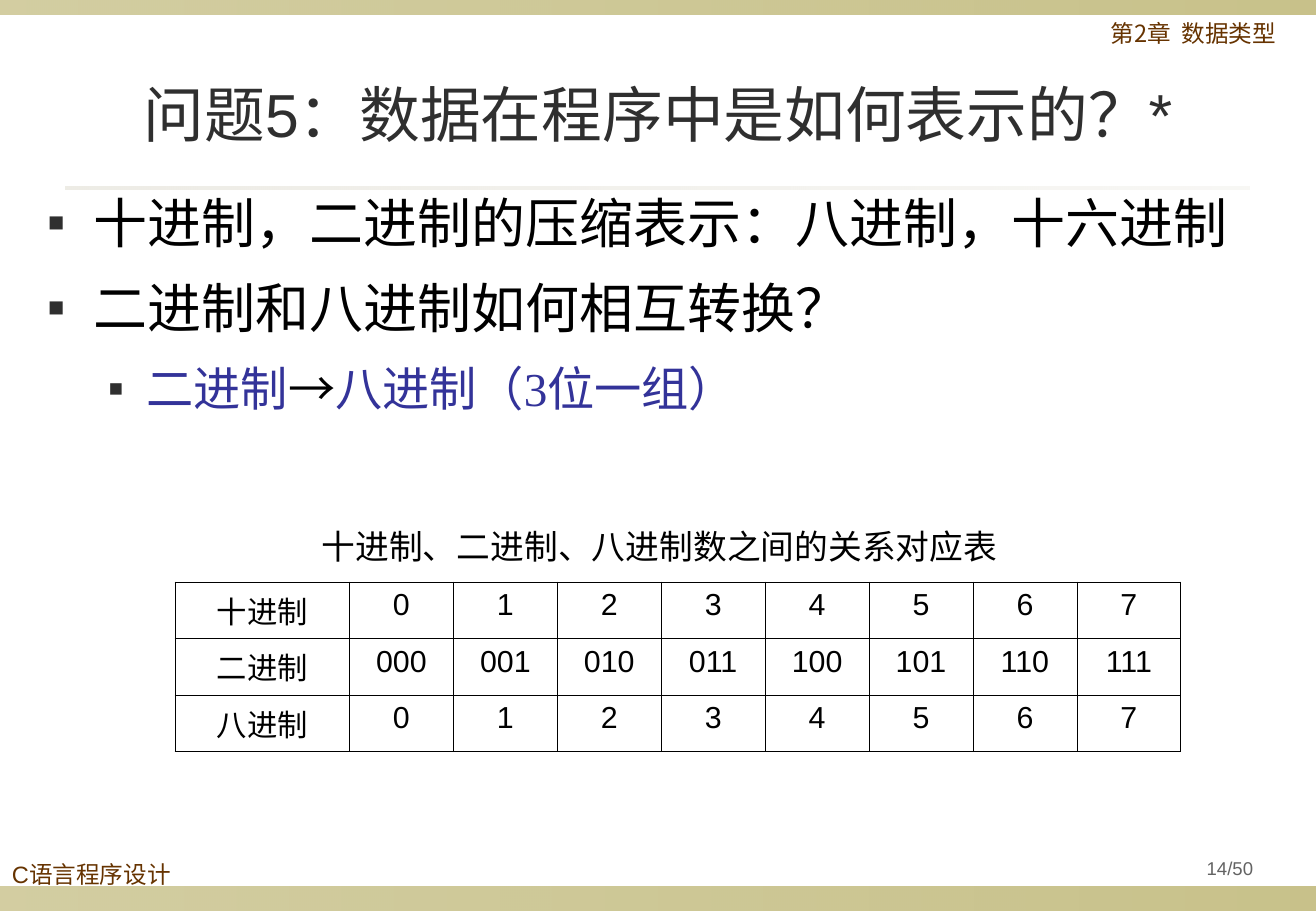
"""Build the slide on how binary and octal numbers are converted."""
from dataclasses import dataclass

from lxml import etree
from pptx import Presentation
from pptx.dml.color import RGBColor
from pptx.enum.shapes import MSO_SHAPE
from pptx.enum.text import MSO_ANCHOR, PP_ALIGN
from pptx.oxml.ns import qn
from pptx.util import Cm, Pt

RECT = MSO_SHAPE.RECTANGLE
LEFT, CENTER = PP_ALIGN.LEFT, PP_ALIGN.CENTER
TOP, MIDDLE = MSO_ANCHOR.TOP, MSO_ANCHOR.MIDDLE
BLACK = RGBColor(0x00, 0x00, 0x00)
WHITE = RGBColor(0xFF, 0xFF, 0xFF)
OLIVE = RGBColor(0x91, 0x84, 0x15)
SAND = RGBColor(0xDC, 0xD9, 0xCC)
BROWN = RGBColor(0x66, 0x33, 0x00)
DARK = RGBColor(0x2F, 0x2F, 0x2F)
GRAY = RGBColor(0x63, 0x63, 0x63)
BLUE = RGBColor(0x33, 0x33, 0x99)
SANS, SERIF = "Arial", "Times New Roman"
WIDTH, HEIGHT = 27.53, 19.05


@dataclass
class Band:
    left: float
    top: float
    width: float
    height: float
    color: RGBColor
    alphas: tuple[int, int]


@dataclass
class Label:
    text: str
    left: float
    top: float
    width: float
    height: float
    size: int
    color: RGBColor
    font: str = SANS
    align: PP_ALIGN = LEFT
    anchor: MSO_ANCHOR = TOP
    space: float = 1.0


@dataclass
class Point:
    runs: list[tuple[str, RGBColor]]
    size: int
    level: int
    margin: float
    hang: float


BANDS = [
    Band(0, 18.54, WIDTH, 0.51, OLIVE, (40, 50)),
    Band(0, 0, WIDTH, 0.3, OLIVE, (40, 50)),
    Band(1.37, 3.91, 24.77, 0.05, SAND, (50, 20)),
]
TITLE = Label("问题5：数据在程序中是如何表示的？*", 0, 1.19, WIDTH, 2.34, 36,
              DARK, align=CENTER, anchor=MIDDLE)
LABELS = [
    Label("C语言程序设计", 0, 17.93, 5.97, 1.12, 14, BROWN, space=0.9),
    Label("第2章  数据类型", 21.97, 0.33, 5.99, 0.99, 14, BROWN,
          "Noto Sans CJK SC", CENTER, space=0.9),
    Label("14/50", 24.36, 17.78, 2.74, 0.79, 11, GRAY, align=CENTER,
          anchor=MIDDLE, space=0.9),
    Label("十进制、二进制、八进制数之间的关系对应表", 6.48, 10.87, 15.34, 1.12,
          20, BLACK),
]
POINTS = [
    Point([("十进制，二进制的压缩表示：八进制，十六进制", BLACK)], 32, 0, 0.95, 0.95),
    Point([("二进制和八进制如何相互转换？", BLACK)], 32, 0, 0.95, 0.95),
    Point([("二进制", BLUE), ("→", BLACK), ("八进制（3位一组）", BLUE)],
          28, 1, 2.06, 0.79),
]
ROWS = [("十进制", "d"), ("二进制", "03b"), ("八进制", "o")]


def set_font(font, name: str, size: int, color: RGBColor) -> None:
    font.name, font.size = name, Pt(size)
    font.color.rgb = color


def add_band(slide, band: Band) -> None:
    shape = slide.shapes.add_shape(RECT, Cm(band.left), Cm(band.top),
                                   Cm(band.width), Cm(band.height))
    shape.shadow.inherit = False
    shape.line.fill.background()
    shape.fill.gradient()
    shape.fill.gradient_angle = 0
    for stop in shape.fill.gradient_stops:
        stop.color.rgb = band.color
    tones = shape.element.spPr.iter(qn("a:srgbClr"))
    for tone, alpha in zip(tones, band.alphas):
        etree.SubElement(tone, qn("a:alpha"), val=str(alpha * 1000))


def fill_label(shape, label: Label) -> None:
    shape.left, shape.top = Cm(label.left), Cm(label.top)
    shape.width, shape.height = Cm(label.width), Cm(label.height)
    frame = shape.text_frame
    frame.word_wrap = True
    frame.vertical_anchor = label.anchor
    frame.text = label.text
    para = frame.paragraphs[0]
    para.alignment, para.line_spacing = label.align, label.space
    set_font(para.font, label.font, label.size, label.color)


def add_bullet(para, point: Point) -> None:
    props = para._p.get_or_add_pPr()
    props.set("marL", str(Cm(point.margin)))
    props.set("indent", str(-Cm(point.hang)))
    tint = etree.SubElement(props, qn("a:buClr"))
    etree.SubElement(tint, qn("a:srgbClr"), val=str(DARK))
    etree.SubElement(props, qn("a:buSzPct"), val="50000")
    etree.SubElement(props, qn("a:buFont"), typeface=SANS)
    etree.SubElement(props, qn("a:buChar"), char="■")


def add_points(slide) -> None:
    box = slide.shapes.add_textbox(Cm(0.76), Cm(3.84), Cm(26.77), Cm(13.94))
    frame = box.text_frame
    frame.word_wrap = True
    for index, point in enumerate(POINTS):
        para = frame.add_paragraph() if index else frame.paragraphs[0]
        para.level = point.level
        para.space_before = Pt(6 if index else 0)
        para.space_after = Pt(6)
        add_bullet(para, point)
        para.font.name, para.font.size = SERIF, Pt(point.size)
        for text, color in point.runs:
            run = para.add_run()
            run.text = text
            run.font.color.rgb = color


def fill_cell(cell, text: str, font: str) -> None:
    cell.text = text
    para = cell.text_frame.paragraphs[0]
    para.alignment = CENTER
    set_font(para.font, font, 18, BLACK)
    props = cell._tc.get_or_add_tcPr()
    for side in ("lnL", "lnR", "lnT", "lnB"):
        line = etree.SubElement(props, qn(f"a:{side}"), w=str(Pt(0.45)))
        paint = etree.SubElement(line, qn("a:solidFill"))
        etree.SubElement(paint, qn("a:srgbClr"), val=str(BLACK))
    cell.fill.solid()
    cell.fill.fore_color.rgb = WHITE


def add_grid(slide) -> None:
    table = slide.shapes.add_table(len(ROWS), 9, Cm(3.66), Cm(12.17),
                                   Cm(21.06), Cm(3.54)).table
    table.first_row = table.horz_banding = False
    for index, column in enumerate(table.columns):
        column.width = Cm(2.175 if index else 3.65)
    for row, (name, base) in enumerate(ROWS):
        table.rows[row].height = Cm(1.18)
        fill_cell(table.cell(row, 0), name, "Lato")
        for value in range(8):
            fill_cell(table.cell(row, value + 1), format(value, base), SANS)


def main() -> None:
    deck = Presentation()
    deck.slide_width, deck.slide_height = Cm(WIDTH), Cm(HEIGHT)
    slide = deck.slides.add_slide(deck.slide_layouts[5])
    for band in BANDS:
        add_band(slide, band)
    add_points(slide)
    fill_label(slide.shapes.title, TITLE)
    add_grid(slide)
    for label in LABELS:
        fill_label(slide.shapes.add_textbox(0, 0, 0, 0), label)
    deck.save("out.pptx")


if __name__ == "__main__":
    main()
